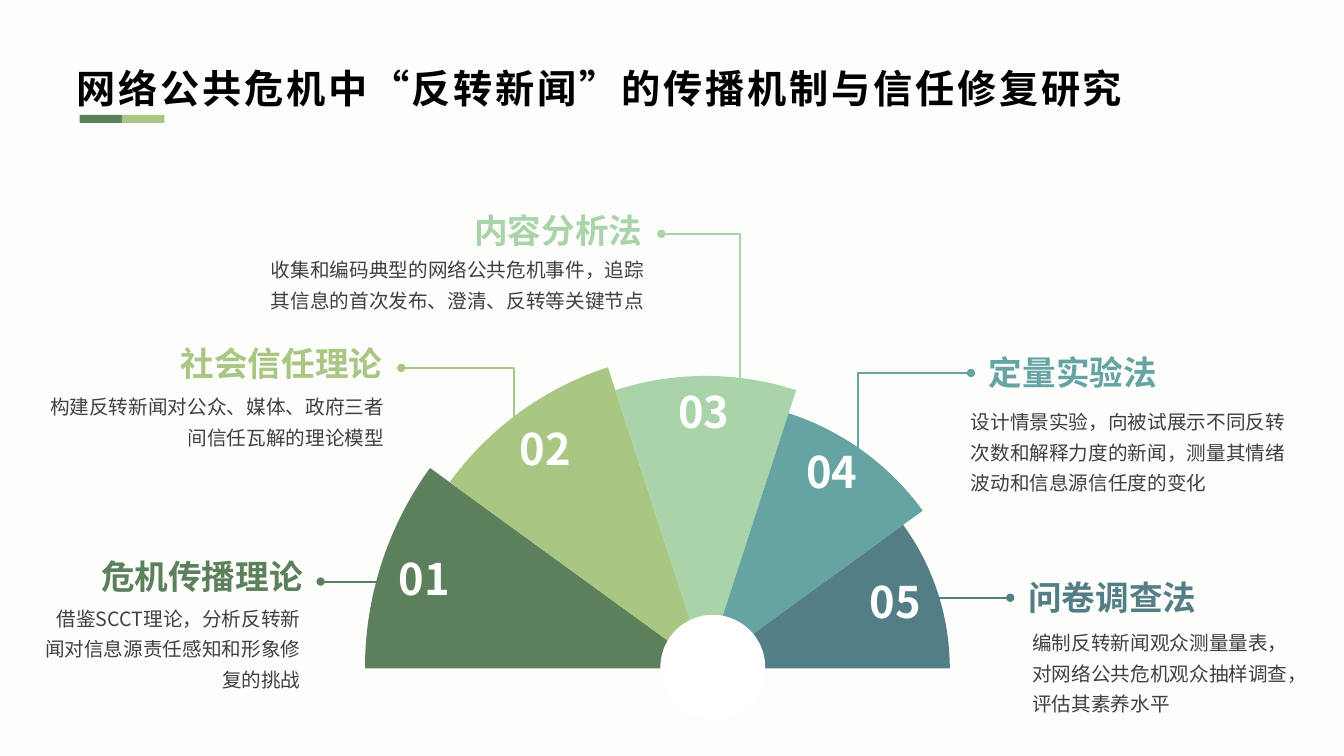
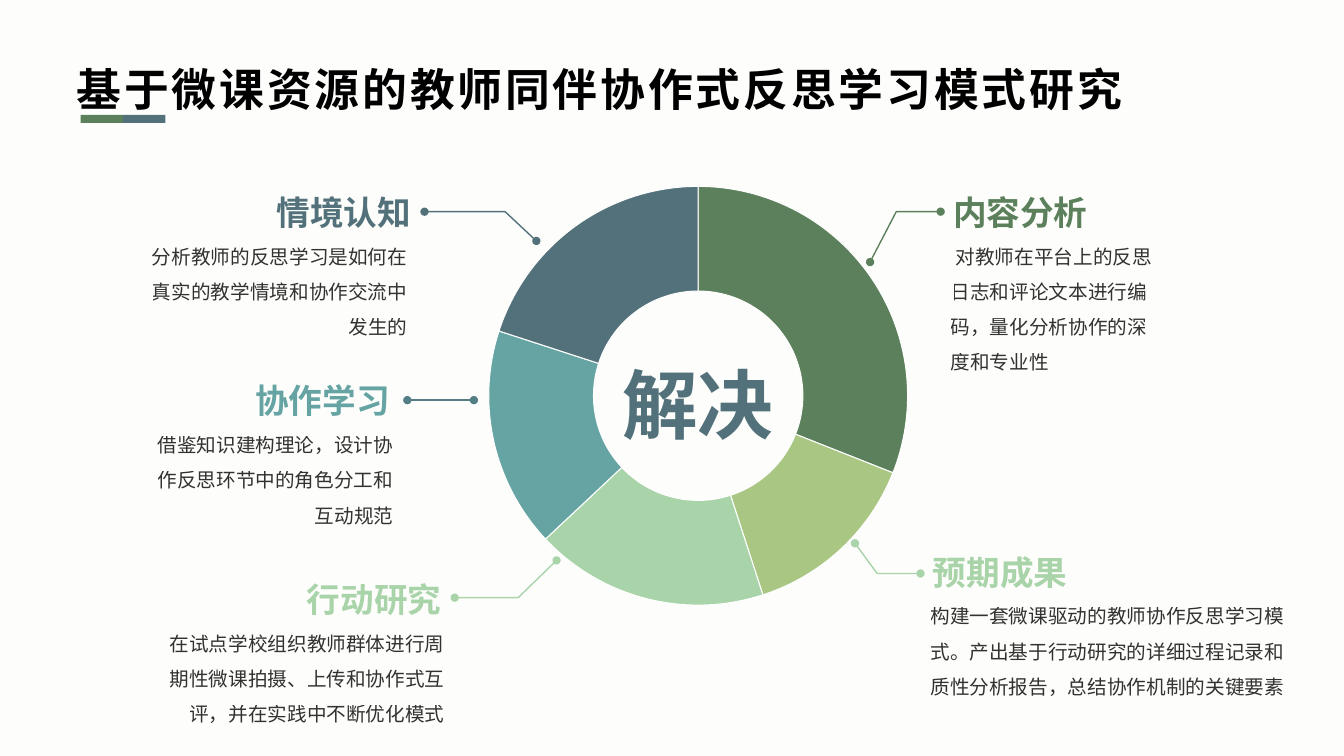
from math import cos, radians, sin

from lxml.etree import SubElement
from pptx import Presentation
from pptx.chart.data import CategoryChartData
from pptx.dml.color import RGBColor
from pptx.enum.chart import XL_CHART_TYPE
from pptx.enum.shapes import MSO_CONNECTOR, MSO_SHAPE
from pptx.enum.text import MSO_ANCHOR, MSO_AUTO_SIZE, PP_ALIGN
from pptx.oxml.ns import qn
from pptx.util import Inches, Pt

FONT = "Noto Sans CJK SC"
C = {"bg": "FDFEFB", "ink": "000000", "white": "FFFFFF", "green": "5B805B", "lime": "A9C683",
     "mint": "A9D3A9", "teal": "66A4A4", "blue": "537E85", "slate": "52717B"}
L, CENTER, R = PP_ALIGN.LEFT, PP_ALIGN.CENTER, PP_ALIGN.RIGHT

# Fan slide: (heading, colour, align, heading at, body, body at, body width, lines, leader from the dot)
FAN_TITLE = "网络公共危机中“反转新闻”的传播机制与信任修复研究"
FAN = [
    ("危机传播理论", "green", R, (0.19, 5.47),
     "借鉴SCCT理论，分析反转新闻对信息源责任感知和形象修复的挑战",
     (0.33, 5.9), 2.75, 3, [(3.18, 5.77), (3.77, 5.77)]),
    ("社会信任理论", "lime", R, (0.98, 3.35),
     "构建反转新闻对公众、媒体、政府三者间信任瓦解的理论模型",
     (0.33, 3.8), 3.58, 2, [(3.98, 3.65), (5.1, 3.65), (5.1, 4.22)]),
    ("内容分析法", "mint", R, (3.56, 2.03),
     "收集和编码典型的网络公共危机事件，追踪其信息的首次发布、澄清、反转等关键节点",
     (2.51, 2.44), 3.98, 2, [(6.56, 2.32), (7.34, 2.32), (7.34, 3.83)]),
    ("定量实验法", "teal", L, (9.71, 3.44),
     "设计情景实验，向被试展示不同反转次数和解释力度的新闻，测量其情绪波动和信息源信任度的变化",
     (9.53, 3.95), 3.5, 3, [(9.63, 3.7), (8.51, 3.7), (8.51, 4.51)]),
    ("问卷调查法", "blue", L, (10.1, 5.67),
     "编制反转新闻观众测量量表，对网络公共危机观众抽样调查，评估其素养水平",
     (10.14, 6.14), 2.81, 3, [(10.02, 5.93), (9.28, 5.93)]),
]
HUB, RADIUS, SHRINK = (7, 6.63), 3.38, 0.24
NUMBER_AT = [(4.21, 5.8), (5.41, 4.51), (6.98, 4.14), (8.25, 4.74), (8.88, 6.03)]

# Ring slide: (heading, colour, leader colour, align, heading at, body, body at, width, lines, indent, leader)
RING_TITLE = "基于微课资源的教师同伴协作式反思学习模式研究"
RING_CENTER = "解决"
RING = [
    ("情境认知", "slate", "slate", R, (2.62, 1.85),
     "分析教师的反思学习是如何在真实的教学情境和协作交流中发生的",
     (1.4, 2.26), 2.74, 3, 0, [(5.32, 2.39), (5.01, 2.1), (4.21, 2.1)]),
    ("协作学习", "teal", "blue", R, (2.41, 3.72),
     "借鉴知识建构理论，设计协作反思环节中的角色分工和互动规范",
     (1.4, 4.13), 2.6, 3, 0, [(4.7, 3.97), (4.04, 3.97)]),
    ("行动研究", "mint", "mint", R, (2.92, 5.69),
     "在试点学校组织教师群体进行周期性微课拍摄、上传和协作式互评，并在实践中不断优化模式",
     (1.4, 6.1), 3.11, 3, 0, [(5.52, 5.56), (5.14, 5.93), (4.51, 5.93)]),
    ("预期成果", "mint", "mint", L, (9.13, 5.43),
     "构建一套微课驱动的教师协作反思学习模式。产出基于行动研究的详细过程记录和质性分析报告，总结协作机制的关键要素",
     (9.13, 5.83), 3.74, 3, 0, [(8.48, 5.39), (8.7, 5.69), (9.13, 5.69)]),
    ("内容分析", "green", "green", L, (9.33, 1.85),
     "对教师在平台上的反思日志和评论文本进行编码，量化分析协作的深度和专业性",
     (9.33, 2.26), 2.34, 4, 0.05, [(8.63, 2.6), (8.89, 2.1), (9.33, 2.1)]),
]
SHARES = [(31, "green"), (14, "lime"), (18, "mint"), (17, "teal"), (20, "slate")]
PLOT = {"x": 0.127, "y": 0.066, "w": 0.746, "h": 0.837}


def rgb(name):
    return RGBColor.from_string(C[name])


def add_text(s, text, box, size, color="ink", bold=False, align=L, spacing=None, anchor=MSO_ANCHOR.TOP,
             inset=None, wrap=True, alpha=None, tracking=None, indent=0):
    tf = s.shapes.add_textbox(*map(Inches, box)).text_frame
    tf.word_wrap, tf.vertical_anchor = wrap, anchor
    tf.auto_size = MSO_AUTO_SIZE.SHAPE_TO_FIT_TEXT
    if inset is not None:
        tf.margin_left = tf.margin_right = tf.margin_top = tf.margin_bottom = Inches(inset)
    p = tf.paragraphs[0]
    p.text, p.alignment = text, align
    if spacing:
        p.line_spacing = spacing
    f = p.font
    f.size, f.bold, f.name = Pt(size), bold, FONT
    f.color.rgb = rgb(color)
    pPr = p._p.get_or_add_pPr()
    if indent:
        pPr.set("indent", str(Inches(indent)))
    props = pPr.find(qn("a:defRPr"))
    SubElement(props, qn("a:ea")).set("typeface", FONT)
    if tracking:
        props.set("spc", str(tracking * 100))
    if alpha:
        SubElement(props.find(".//" + qn("a:srgbClr")), qn("a:alpha")).set("val", str(alpha * 1000))


def add_preset(s, kind, box, color):
    sp = s.shapes.add_shape(kind, *map(Inches, box))
    paint(sp, color)


def paint(sp, color):
    sp.shadow.inherit = False
    sp.fill.solid()
    sp.fill.fore_color.rgb = rgb(color)
    sp.line.fill.background()


def outline(s, points, close):
    pts = [(Inches(x), Inches(y)) for x, y in points]
    builder = s.shapes.build_freeform(*pts[0], scale=1.0)
    builder.add_line_segments(pts[1:], close=close)
    return builder.convert_to_shape()


def add_leader(s, points, color, width, ends):
    if len(points) == 2:
        (x1, y1), (x2, y2) = points
        sp = s.shapes.add_connector(MSO_CONNECTOR.STRAIGHT, *map(Inches, (x1, y1, x2, y2)))
    else:
        sp = outline(s, points, False)
        sp.fill.background()
    sp.line.color.rgb, sp.line.width = rgb(color), Pt(width)
    spPr = sp._element.spPr
    for end in ends:
        SubElement(spPr.find(qn("a:ln")), qn("a:" + end)).set("type", "oval")
    SubElement(spPr, qn("a:effectLst"))


def add_body(s, text, at, width, lines, align, spacing, alpha, indent=0):
    height = 0.1 + lines * 0.235 * spacing
    add_text(s, text, (*at, width, height), 14, align=align, spacing=spacing, alpha=alpha, indent=indent)


def add_slide(prs, title, size, box, bar_left, bar_colors):
    s = prs.slides.add_slide(prs.slide_layouts[6])
    for i, color in enumerate(bar_colors):
        add_preset(s, MSO_SHAPE.RECTANGLE, (bar_left + i * 0.42, 1.14, 0.42, 0.08), color)
    add_text(s, title, box, size, bold=True, spacing=1.2, anchor=MSO_ANCHOR.MIDDLE, tracking=2)
    return s


def fan_slide(prs):
    s = add_slide(prs, FAN_TITLE, 28, (0.66, 0.49, 12.02, 0.66), 0.79, ("green", "lime"))
    # Wedges of equal angle and shrinking radius
    step = 180 // len(FAN)
    for i, item in enumerate(FAN):
        radius = RADIUS - i * SHRINK
        arc = [radians(180 - a) for a in range(i * step, (i + 1) * step + 1)]
        rim = [(HUB[0] + radius * cos(a), HUB[1] - radius * sin(a)) for a in arc]
        paint(outline(s, [HUB, *rim], True), item[1])
    add_preset(s, MSO_SHAPE.OVAL, (6.55, 6.1, 1.04, 1.04), "white")
    for i, (x, y) in enumerate(NUMBER_AT, 1):
        add_text(s, f"{i:02}", (x - 0.4, y - 0.32, 0.8, 0.64), 31, "white", True, CENTER, inset=0)
    # Callouts
    for head, color, align, at, body, body_at, width, lines, leader in FAN:
        add_leader(s, leader, color, 1.5, ["headEnd"])
        add_text(s, head, (*at, 2.91, 0.5), 24, color, True, align)
        add_body(s, body, body_at, width, lines, align, 1.3, 75)


def add_ring(s):
    data = CategoryChartData()
    data.categories = [str(i) for i in range(1, len(SHARES) + 1)]
    data.add_series("Series 1", [value for value, _ in SHARES])
    box = map(Inches, (4.14, 1.5, 5.57, 5.01))
    chart = s.shapes.add_chart(XL_CHART_TYPE.DOUGHNUT, *box, data).chart
    chart.has_legend = chart.has_title = False
    chart.font.size, chart.font.name, chart.font.color.rgb = Pt(18), FONT, rgb("ink")
    plot = chart.plots[0]
    plot.vary_by_categories = True
    for i, (_, color) in enumerate(SHARES):
        fmt = plot.series[0].points[i].format
        fmt.fill.solid()
        fmt.fill.fore_color.rgb = rgb(color)
        fmt.line.color.rgb, fmt.line.width = rgb("white"), Pt(0.75)
    # Hole size and plot area
    area = chart._chartSpace.find(".//" + qn("c:plotArea"))
    area.find(".//" + qn("c:holeSize")).set("val", "50")
    for old in area.findall(qn("c:layout")):
        area.remove(old)
    layout = SubElement(area, qn("c:layout"))
    area.insert(0, layout)
    manual = SubElement(layout, qn("c:manualLayout"))
    settings = {"layoutTarget": "inner", "xMode": "edge", "yMode": "edge", **PLOT}
    for key, value in settings.items():
        SubElement(manual, qn("c:" + key)).set("val", str(value))


def ring_slide(prs):
    s = add_slide(prs, RING_TITLE, 32, (0.66, 0.45, 12.02, 0.75), 0.8, ("green", "slate"))
    add_ring(s)
    # Callouts
    for head, color, line, align, at, body, body_at, width, lines, indent, leader in RING:
        add_leader(s, leader, line, 1, ["headEnd", "tailEnd"])
        add_text(s, head, (*at, 1.58, 0.5), 24, color, True, CENTER)
        add_body(s, body, body_at, width, lines, align, 1.5, 80, indent)
    add_text(s, RING_CENTER, (6.12, 3.5, 1.6, 1.01), 54, "slate", True, CENTER, inset=0.05, wrap=False)


def main():
    prs = Presentation()
    prs.slide_width, prs.slide_height = Inches(13.33), Inches(7.5)
    bg = prs.slide_master.background.fill
    bg.solid()
    bg.fore_color.rgb = rgb("bg")
    fan_slide(prs)
    ring_slide(prs)
    prs.save("out.pptx")


if __name__ == "__main__":
    main()
